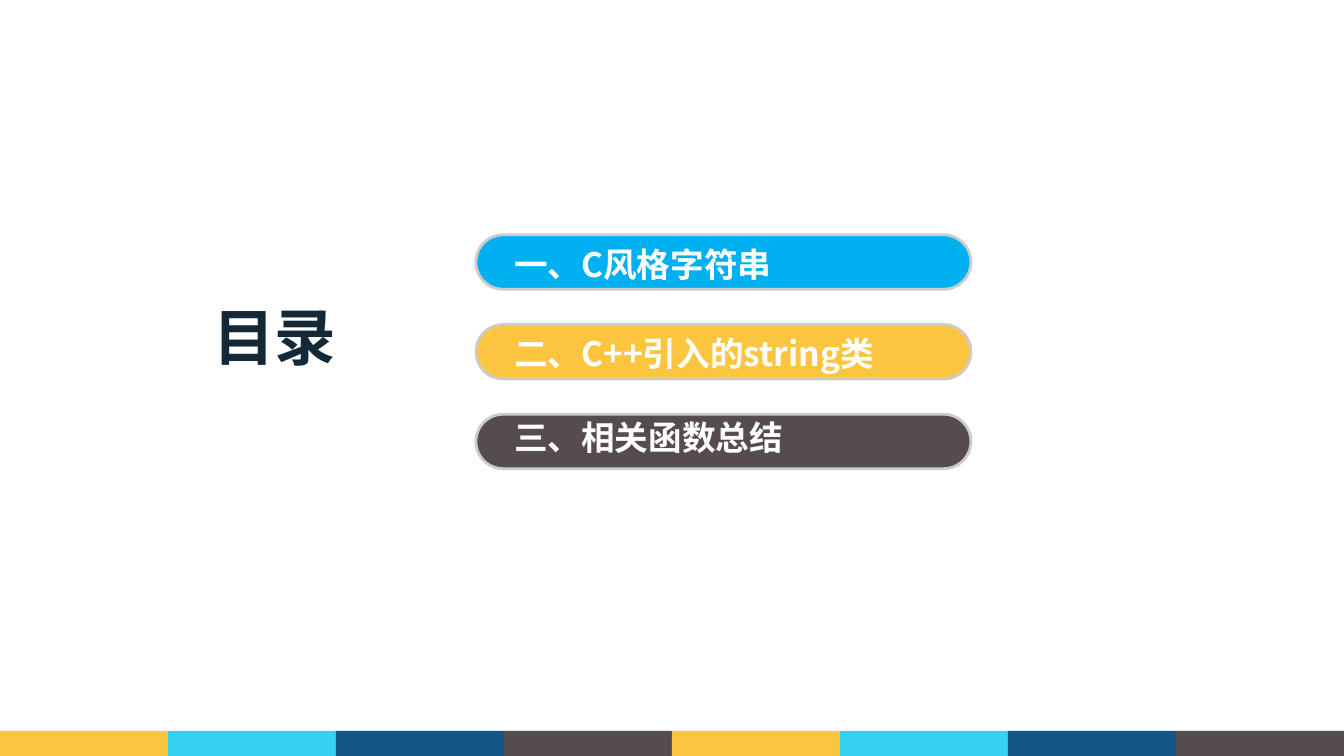
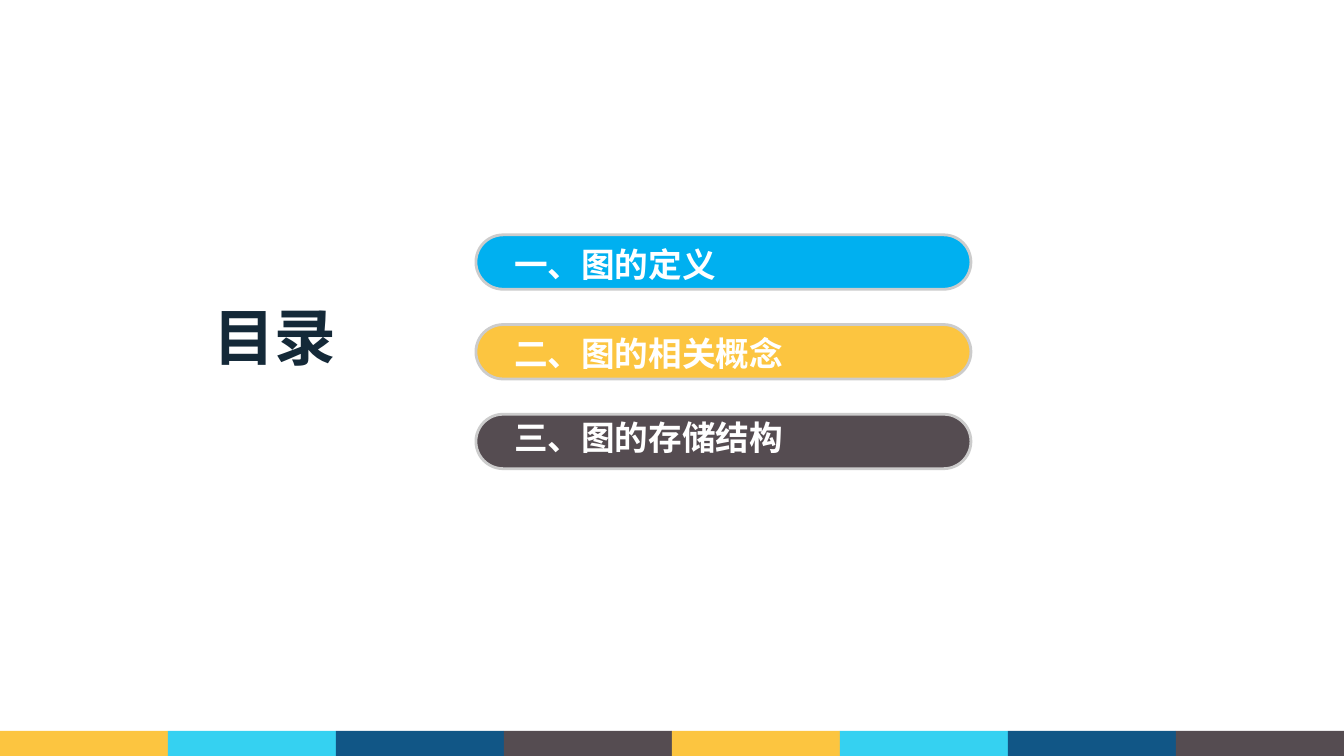
from dataclasses import dataclass
from pptx import Presentation
from pptx.dml.color import RGBColor
from pptx.enum.shapes import MSO_SHAPE
from pptx.enum.text import MSO_AUTO_SIZE, PP_ALIGN
from pptx.oxml.ns import qn
from pptx.util import Inches, Pt
from lxml.etree import SubElement


@dataclass(frozen=True)
class Theme:
    font: str = "Noto Sans CJK SC"
    title: int = 44
    item: int = 24
    edge: int = 2
    white: str = "FFFFFF"
    ink: str = "142938"
    rim: str = "CCCCCC"
    pills: tuple = ("00B0F0", "FCC540", "554C51")
    band: tuple = ("FCC540", "35D1F1", "115686", "554C51")


THEME = Theme()
WIDTH, HEIGHT = 13.33, 7.5
BAND = (0, 7.25, WIDTH, 0.25)
TITLE = (1.99, 2.92, 1.47, 0.84)
MENU = (4.72, 2.33, 4.91, 2.32)
PILL = 0.54
INDENT = 0.28
SHIFTS = (0.04, 0.03, -0.02)

SLIDES = (
    ("一、C风格字符串", "二、C++引入的string类", "三、相关函数总结"),
    ("一、图的定义", "二、图的相关概念", "三、图的存储结构"),
)


def color(code):
    return RGBColor.from_string(code)


def add_block(shapes, kind, box, fill, rim=None):
    block = shapes.add_shape(kind, *map(Inches, box))
    block.shadow.inherit = False
    block.fill.solid()
    block.fill.fore_color.rgb = color(fill)
    if rim:
        block.line.color.rgb = color(rim)
        block.line.width = Pt(THEME.edge)
    else:
        block.line.fill.background()
    return block


def add_text(slide, box, text, size, ink, align=PP_ALIGN.LEFT):
    frame = slide.shapes.add_textbox(*map(Inches, box)).text_frame
    frame.word_wrap = True
    frame.auto_size = MSO_AUTO_SIZE.SHAPE_TO_FIT_TEXT
    line = frame.paragraphs[0]
    line.alignment = align
    run = line.add_run()
    run.text = text
    style = {"name": THEME.font, "size": Pt(size), "bold": True}
    for key, value in style.items():
        setattr(run.font, key, value)
    run.font.color.rgb = color(ink)
    SubElement(run.font._element, qn("a:ea"), typeface=THEME.font)


def add_menu(slide, box, items):
    left, top, width, height = box
    pitch = (height - PILL) / (len(items) - 1)
    for row, fill in enumerate(THEME.pills):
        place = (left, top + row * pitch, width, PILL)
        pill = add_block(slide.shapes, MSO_SHAPE.ROUNDED_RECTANGLE, place, fill, THEME.rim)
        pill.adjustments[0] = 0.5
    for row, (item, shift) in enumerate(zip(items, SHIFTS)):
        place = (left + INDENT, top + row * pitch + shift, width - 2 * INDENT, 0.5)
        add_text(slide, place, item, THEME.item, THEME.white)


def add_band(slide, box):
    left, top, width, height = box
    fills = THEME.band * 2
    step = width / len(fills)
    group = slide.shapes.add_group_shape()
    for index, fill in enumerate(fills):
        place = (left + index * step, top, step, height)
        add_block(group.shapes, MSO_SHAPE.RECTANGLE, place, fill)


def add_agenda(deck, items):
    slide = deck.slides.add_slide(deck.slide_layouts[6])
    add_menu(slide, MENU, items)
    add_text(slide, TITLE, "目录", THEME.title, THEME.ink, PP_ALIGN.CENTER)
    add_band(slide, BAND)


def main():
    deck = Presentation()
    deck.slide_width, deck.slide_height = Inches(WIDTH), Inches(HEIGHT)
    for items in SLIDES:
        add_agenda(deck, items)
    deck.save("out.pptx")


if __name__ == "__main__":
    main()
